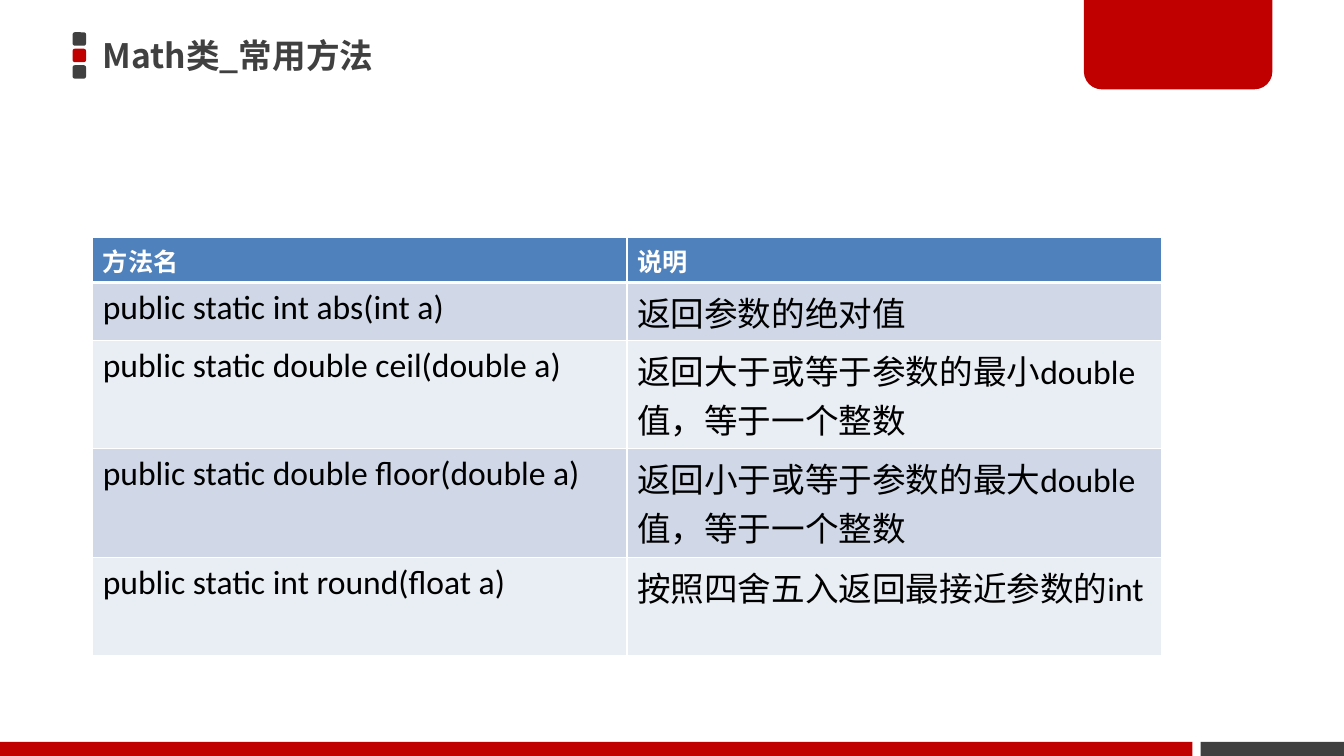
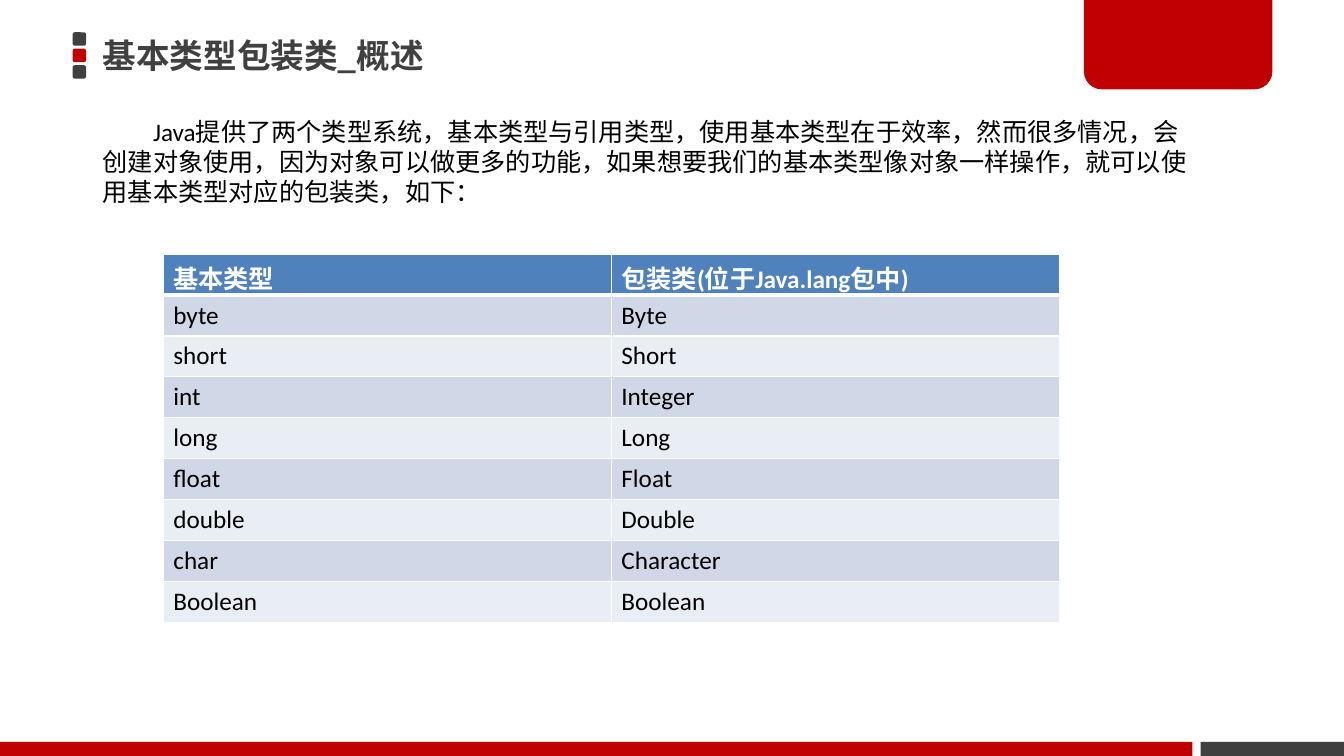
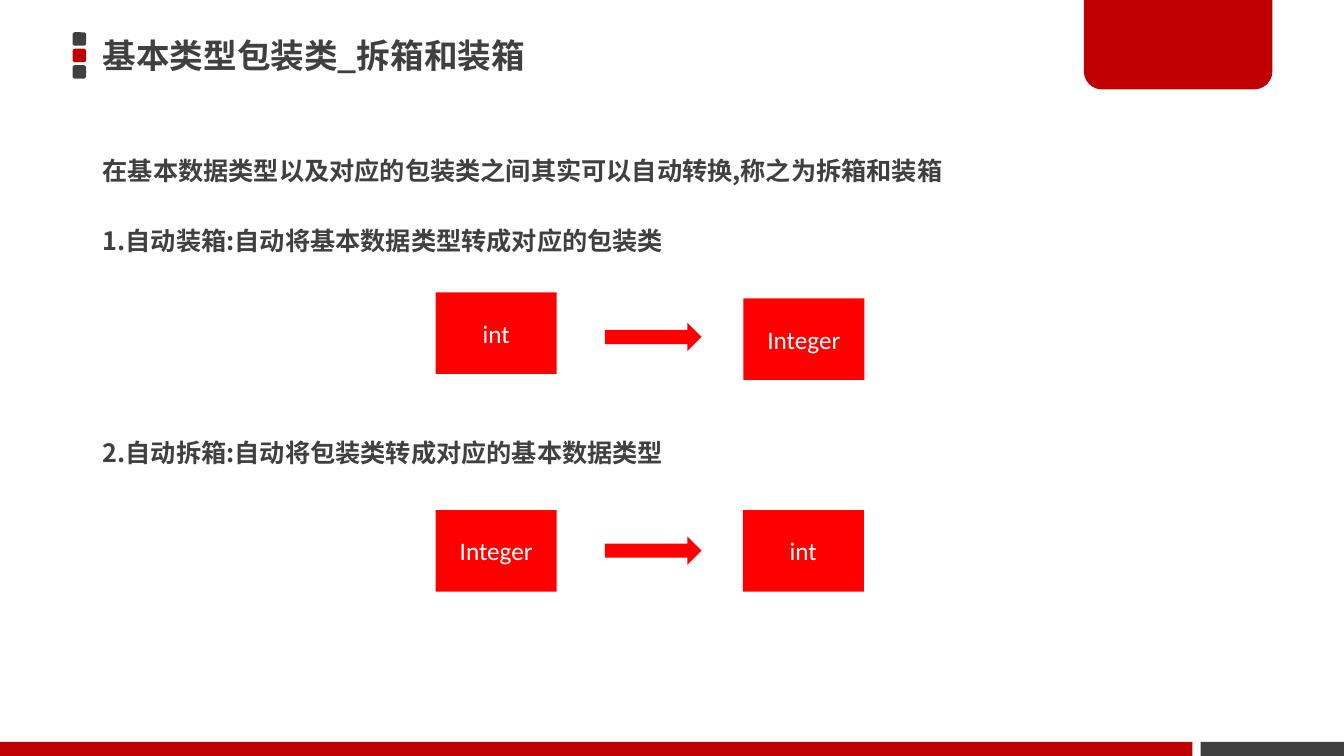
from dataclasses import dataclass

from lxml.etree import SubElement
from pptx import Presentation
from pptx.dml.color import RGBColor
from pptx.enum.lang import MSO_LANGUAGE_ID as Lang
from pptx.enum.shapes import MSO_SHAPE as Kind
from pptx.enum.text import MSO_ANCHOR as Anchor, PP_ALIGN as Align
from pptx.oxml.ns import qn
from pptx.util import Emu, Inches, Pt

COLS, ROWS = 160, 90
HIGH = Inches(7.5)
WIDE = Emu(HIGH * COLS // ROWS)
LEFT = 11.04
LATIN, HAN = "Calibri", "Noto Sans CJK JP"
DARK, RED, VIVID = "404040", "C00000", "FF0000"
WHITE, BLACK, BLUE = "FFFFFF", "000000", "4F81BD"
BANDS = ("D0D8E8", "E9EDF4")


def across(cols: float) -> Emu:
    return Emu(round(WIDE * cols / COLS))


def down(rows: float) -> Emu:
    return Emu(round(HIGH * rows / ROWS))


@dataclass(frozen=True)
class Box:
    col: float
    row: float
    wide: float
    high: float

    def place(self) -> tuple:
        return across(self.col), down(self.row), across(self.wide), down(self.high)


@dataclass(frozen=True)
class Style:
    size: float
    color: str
    font: str = LATIN
    bold: bool = False


@dataclass(frozen=True)
class Block:
    box: Box
    color: str
    kind: Kind = Kind.RECTANGLE
    text: str = ""
    bend: tuple = ()


@dataclass(frozen=True)
class Grid:
    col: float
    row: float
    wide: float
    highs: tuple
    cells: tuple
    size: float
    foot: float = 0.05


TITLE = Style(24, DARK, HAN, True)
POINT = Style(18, DARK, HAN, True)
HEAD = Style(18, WHITE, bold=True)
LABEL = Style(18, WHITE)
PROSE = Style(18, BLACK)

FRAME = [
    *(Block(Box(8.64, 3.84 + 1.96 * i, 1.6, 1.6), color, Kind.ROUNDED_RECTANGLE)
      for i, color in enumerate((DARK, RED, DARK))),
    Block(Box(142.92, 88.32, 17.08, 1.68), DARK),
    Block(Box(129.04, 0, 22.44, 10.64), RED, Kind.ROUND_2_SAME_RECTANGLE, bend=(0, 0.2)),
    Block(Box(0, 88.32, 141.96, 1.68), RED),
]

MATH = Grid(LEFT, 28.24, 127.2, (5.4, 6.9, 12.9, 12.9, 11.76), (
    ("方法名", "说明"),
    ("public static int abs(int a)", "返回参数的绝对值"),
    ("public static double ceil(double a)", "返回大于或等于参数的最小double值，等于一个整数"),
    ("public static double floor(double a)", "返回小于或等于参数的最大double值，等于一个整数"),
    ("public static int round(float a)", "按照四舍五入返回最接近参数的int"),
), 24)

TYPES = Grid(19.44, 30.24, 106.68, (4.88,) * 9, (
    ("基本类型", "包装类(位于Java.lang包中)"),
    ("byte", "Byte"),
    ("short", "Short"),
    ("int", "Integer"),
    ("long", "Long"),
    ("float", "Float"),
    ("double", "Double"),
    ("char", "Character"),
    ("Boolean", "Boolean"),
), 18, foot=0)

INTRO = ("Java提供了两个类型系统，基本类型与引用类型，使用基本类型在于效率，然而很多情况，"
         "会创建对象使用，因为对象可以做更多的功能，如果想要我们的基本类型像对象一样操作，"
         "就可以使用基本类型对应的包装类，如下：")

POINTS = (
    ("在基本数据类型以及对应的包装类之间其实可以自动转换,称之为拆箱和装箱", 0),
    ("1.自动装箱:自动将基本数据类型转成对应的包装类", 28.3),
    ("2.自动拆箱:自动将包装类转成对应的基本数据类型", 130),
)

FLOWS = (
    (("int", 51.88, 34.8), ("Integer", 88.5, 35.52), 38.44),
    (("Integer", 51.88, 60.72), ("int", 88.44, 60.72), 63.88),
)


def hue(code: str) -> RGBColor:
    return RGBColor.from_string(code)


def write(para, text: str, style: Style) -> None:
    run = para.add_run()
    run.text = text
    font = run.font
    font.size, font.bold, font.name = Pt(style.size), style.bold, style.font
    font.color.rgb = hue(style.color)
    font.language_id = Lang.SIMPLIFIED_CHINESE
    SubElement(run._r.get_or_add_rPr(), qn("a:ea"), typeface=HAN)


def draw(slide, block: Block) -> None:
    shape = slide.shapes.add_shape(block.kind, *block.box.place())
    shape.shadow.inherit = False
    shape.fill.solid()
    shape.fill.fore_color.rgb = hue(block.color)
    shape.line.fill.background()
    for i, bend in enumerate(block.bend):
        shape.adjustments[i] = bend
    if block.text:
        shape.text_frame.vertical_anchor = Anchor.MIDDLE
        para = shape.text_frame.paragraphs[0]
        para.alignment = Align.CENTER
        write(para, block.text, LABEL)


def frame(slide, box: Box, anchor: Anchor = Anchor.TOP):
    text = slide.shapes.add_textbox(*box.place()).text_frame
    text.word_wrap = True
    text.vertical_anchor = anchor
    return text


def edge(cell, top: float, base: float) -> None:
    props = cell._tc.get_or_add_tcPr()
    for side, width in (("L", 1), ("R", 1), ("T", top), ("B", base)):
        line = SubElement(props, qn(f"a:ln{side}"), w=str(Pt(width)))
        fill = SubElement(line, qn("a:solidFill"))
        SubElement(fill, qn("a:srgbClr"), val=WHITE)


def tabulate(slide, grid: Grid) -> None:
    box = Box(grid.col, grid.row, grid.wide, sum(grid.highs))
    table = slide.shapes.add_table(len(grid.cells), len(grid.cells[0]), *box.place()).table
    body = Style(grid.size, BLACK)
    for r, (texts, high) in enumerate(zip(grid.cells, grid.highs)):
        table.rows[r].height = down(high)
        for c, text in enumerate(texts):
            cell = table.cell(r, c)
            edge(cell, 3 if r == 1 else 1, 3 if r == 0 else 1)
            cell.fill.solid()
            cell.fill.fore_color.rgb = hue(BANDS[(r - 1) % 2] if r else BLUE)
            if r == 0:
                cell.margin_bottom = Inches(grid.foot)
            write(cell.text_frame.paragraphs[0], text, body if r else HEAD)


def start(deck, title: str):
    slide = deck.slides.add_slide(deck.slide_layouts[6])
    for block in FRAME:
        draw(slide, block)
    text = frame(slide, Box(LEFT, 3.12, 115.08, 6.84), Anchor.MIDDLE)
    write(text.paragraphs[0], title, TITLE)
    return slide


def methods(deck) -> None:
    tabulate(start(deck, "Math类_常用方法"), MATH)


def wrappers(deck) -> None:
    slide = start(deck, "基本类型包装类_概述")
    para = frame(slide, Box(LEFT, 13.25, 132.72, 12.12)).paragraphs[0]
    para.line_spacing = Pt(21.4)
    para._p.get_or_add_pPr().set("indent", str(Inches(0.5)))
    write(para, INTRO, PROSE)
    tabulate(slide, TYPES)


def boxing(deck) -> None:
    slide = start(deck, "基本类型包装类_拆箱和装箱")
    text = frame(slide, Box(LEFT, 17.88, 129.24, 40.8))
    for i, (point, gap) in enumerate(POINTS):
        para = text.add_paragraph() if i else text.paragraphs[0]
        para.space_before = Pt(gap)
        write(para, point, POINT)
    for *ends, row in FLOWS:
        for label, col, top in ends:
            draw(slide, Block(Box(col, top, 14.4, 9.72), VIVID, text=label))
        draw(slide, Block(Box(72, row, 11.52, 3.36), VIVID, Kind.RIGHT_ARROW))


def main() -> None:
    deck = Presentation()
    deck.slide_width, deck.slide_height = WIDE, HIGH
    for build in (methods, wrappers, boxing):
        build(deck)
    deck.save("out.pptx")


if __name__ == "__main__":
    main()
